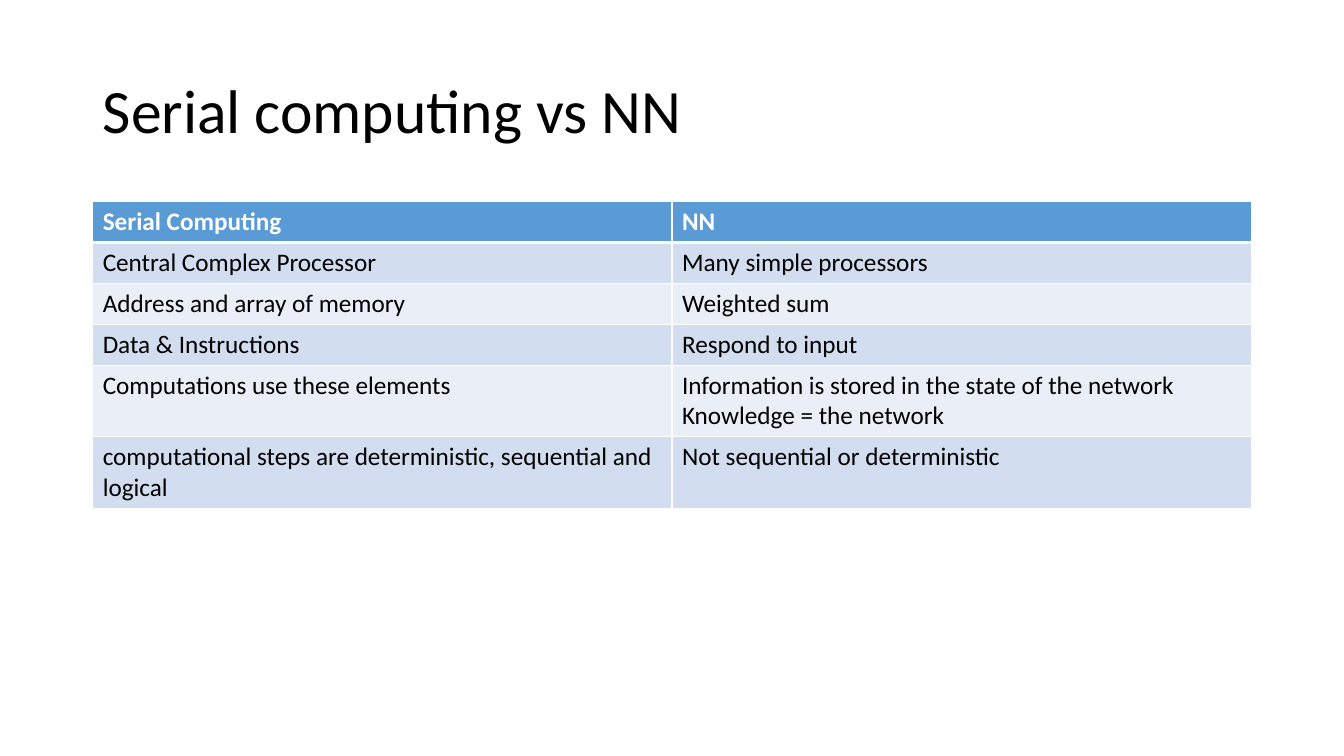
import pptx
import pptx.util
import pptx.enum.text
import pptx.dml.color
import pptx.oxml.ns
import lxml.etree

WIDE, HIGH = 13.33, 7.5
COLS, ROWS = 29, 30  # grid units across and down the slide
INK = {
    "text": "000000", "head": "FFFFFF", "rule": "FFFFFF",
    "top": "5B9BD5", "odd": "D2DEEF", "even": "EAEFF7",
}
PAIRS = [
    ("Serial Computing", "NN"),
    ("Central Complex Processor", "Many simple processors"),
    ("Address and array of memory", "Weighted sum"),
    ("Data & Instructions", "Respond to input"),
    ("Computations use these elements",
     "Information is stored in the state of the network\nKnowledge = the network"),
    ("computational steps are deterministic, sequential and logical",
     "Not sequential or deterministic"),
]


def write(frame, text, size=18, ink="text", bold=False, space=None):
    """Fill a text frame, one paragraph a line, in the given format."""
    frame.text = text
    for para in frame.paragraphs:
        para.alignment = pptx.enum.text.PP_ALIGN.LEFT
        para.line_spacing = space
        for run in para.runs:
            font = run.font
            font.name, font.size, font.bold = "Calibri", pptx.util.Pt(size), bold
            font.color.rgb = pptx.dml.color.RGBColor.from_string(INK[ink])


def edge(cell, side, width):
    """Draw one border of a cell; call in the order L, R, T, B."""
    tag = pptx.oxml.ns.qn
    line = lxml.etree.SubElement(cell._tc.get_or_add_tcPr(), tag("a:ln" + side),
                                 w=str(pptx.util.Pt(width)))
    fill = lxml.etree.SubElement(line, tag("a:solidFill"))
    lxml.etree.SubElement(fill, tag("a:srgbClr"), val=INK["rule"])


class Deck:
    """Holds the grid, the row height and the current slide."""

    def __init__(self):
        """Start a deck with one slide that has a title."""
        self.show = pptx.Presentation()
        self.show.slide_width = pptx.util.Inches(WIDE)
        self.show.slide_height = pptx.util.Inches(HIGH)
        self.row = pptx.util.Pt(29.2)
        self.slide = self.show.slides.add_slide(self.show.slide_layouts[5])

    def area(self, col, row, wide, high):
        """Turn grid units into left, top, width and height."""
        across, down = self.show.slide_width / COLS, self.show.slide_height / ROWS
        return [round(n) for n in (col * across, row * down, wide * across, high * down)]

    def title(self, text, *grid):
        """Place and format the title."""
        box = self.slide.shapes.title
        box.left, box.top, box.width, box.height = self.area(*grid)
        frame = box.text_frame
        frame.word_wrap = True
        frame.vertical_anchor = pptx.enum.text.MSO_ANCHOR.MIDDLE
        write(frame, text, size=44, space=0.9)

    def table(self, data, col, row, wide):
        """Add a banded table with a header row."""
        left, top, width, _ = self.area(col, row, wide, 0)
        count = len(data)
        grid = self.slide.shapes.add_table(
            count, len(data[0]), left, top, width, self.row * count).table
        for at, texts in enumerate(data):
            grid.rows[at].height = self.row
            band = "top" if at == 0 else "odd" if at % 2 else "even"
            for spot, text in enumerate(texts):
                cell = grid.cell(at, spot)
                write(cell.text_frame, text, ink="text" if at else "head", bold=at == 0)
                for side in "LRTB":
                    thick = (at, side) in ((0, "B"), (1, "T"))
                    edge(cell, side, 3 if thick else 1)
                cell.fill.solid()
                cell.fill.fore_color.rgb = pptx.dml.color.RGBColor.from_string(INK[band])


deck = Deck()
deck.title("Serial computing vs NN", 2, 1.6, 25, 5.8)
deck.table(PAIRS, 2, 8, 25)
deck.show.save("out.pptx")
